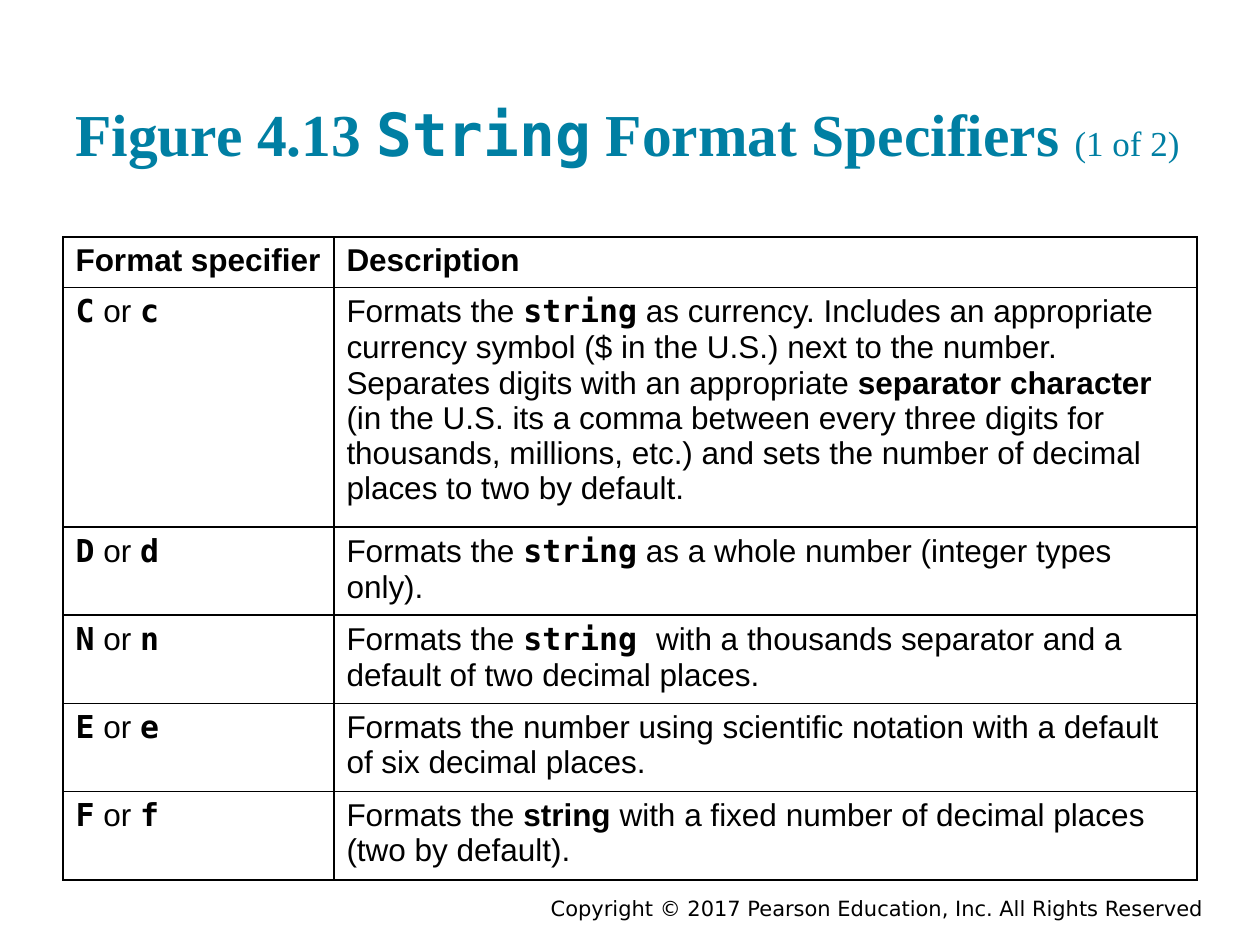
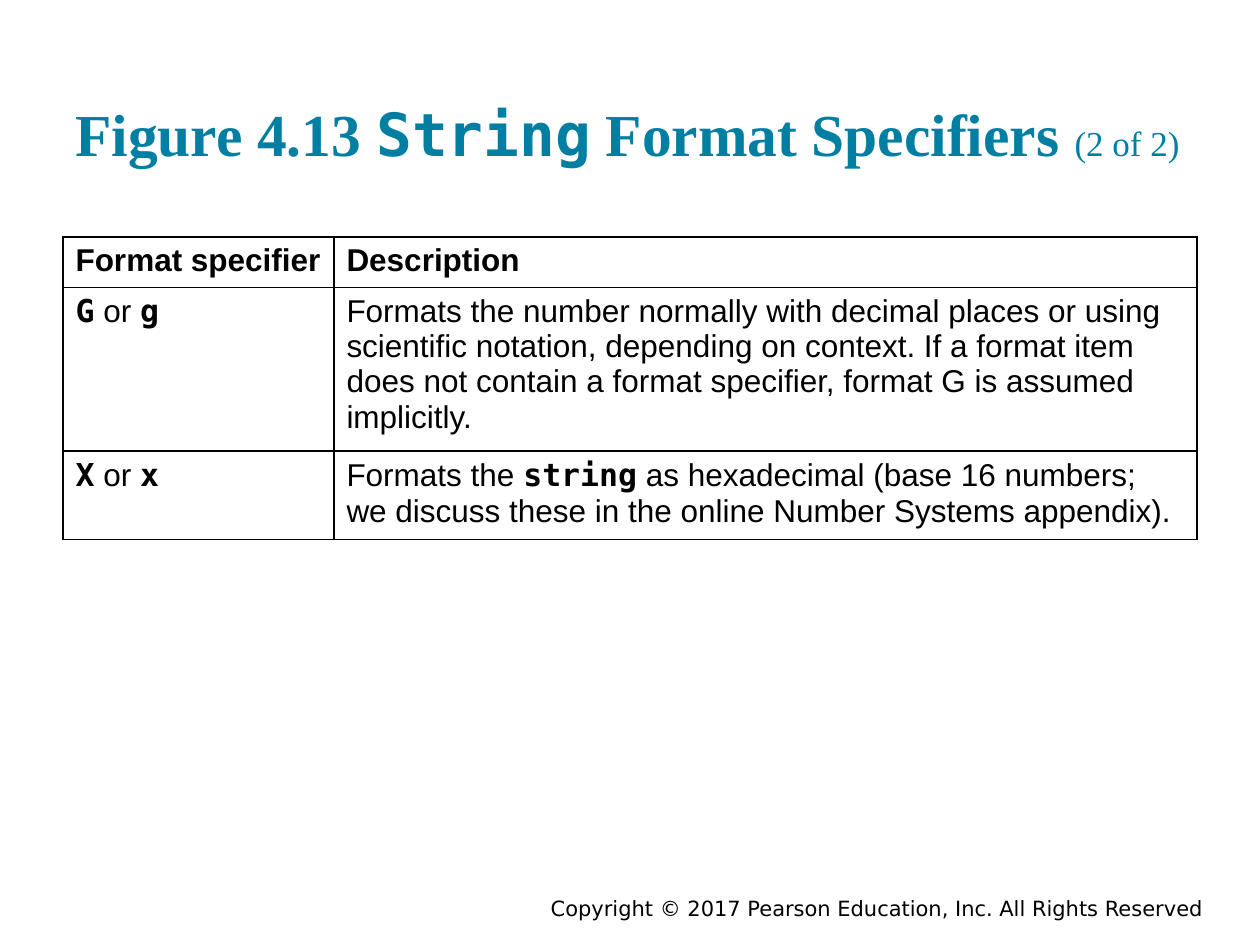
from dataclasses import dataclass

from lxml.etree import SubElement
from pptx import Presentation
from pptx.dml.color import RGBColor
from pptx.enum.text import MSO_ANCHOR, PP_ALIGN
from pptx.oxml.ns import qn
from pptx.util import Inches, Pt


@dataclass(frozen=True)
class Theme:
    teal: str = "007FA3"
    black: str = "000000"
    white: str = "FFFFFF"
    title_font: str = "Times New Roman"
    body_font: str = "Arial"
    code_font: str = "DejaVu Sans Mono"
    footer_font: str = "DejaVu Sans"
    title_size: int = 34
    part_size: int = 20
    body_size: int = 18
    footer_size: int = 12
    border_width: int = 1


THEME = Theme()
COPYRIGHT = "Copyright © 2017 Pearson Education, Inc. All Rights Reserved"
COLUMN_WIDTHS = (2.15, 6.85)
LINE_HEIGHT, CELL_PADDING = 0.28, 0.1


# Text runs
def add_run(p, text, font, size, color, bold=False):
    r = p.add_run()
    r.text = text
    r.font.name = font
    r.font.size = Pt(size)
    r.font.bold = bold
    r.font.color.rgb = RGBColor.from_string(color)


def plain(text):
    return text, THEME.body_font, False


def strong(text):
    return text, THEME.body_font, True


def code(text):
    return text, THEME.code_font, True


def add_text_box(s, left, top, width, height, anchor):
    tf = s.shapes.add_textbox(Inches(left), Inches(top), Inches(width), Inches(height)).text_frame
    tf.word_wrap = True
    tf.vertical_anchor = anchor
    return tf


# Title and footer shared by the slides
def add_title(s, part):
    tf = add_text_box(s, 0.5, 0.24, 9, 1.2, MSO_ANCHOR.BOTTOM)
    tf.margin_top = tf.margin_bottom = Inches(0.1)
    p = tf.paragraphs[0]
    for text, font in (
        ("Figure 4.13 ", THEME.title_font),
        ("String", THEME.code_font),
        (" Format Specifiers ", THEME.title_font),
    ):
        add_run(p, text, font, THEME.title_size, THEME.teal, bold=True)
    add_run(p, f"({part} of 2)", THEME.title_font, THEME.part_size, THEME.teal)


def add_footer(s):
    tf = add_text_box(s, 3, 7.08, 6.65, 0.25, MSO_ANCHOR.MIDDLE)
    p = tf.paragraphs[0]
    p.alignment = PP_ALIGN.RIGHT
    add_run(p, COPYRIGHT, THEME.footer_font, THEME.footer_size, THEME.black)


# Specifier table
def add_borders(cell):
    tc_pr = cell._tc.get_or_add_tcPr()
    for side in ("a:lnL", "a:lnR", "a:lnT", "a:lnB"):
        ln = SubElement(tc_pr, qn(side), w=str(Pt(THEME.border_width)))
        fill = SubElement(ln, qn("a:solidFill"))
        SubElement(fill, qn("a:srgbClr"), val=THEME.black)


def fill_cell(cell, pieces):
    add_borders(cell)
    cell.fill.solid()
    cell.fill.fore_color.rgb = RGBColor.from_string(THEME.white)
    p = cell.text_frame.paragraphs[0]
    for text, font, bold in pieces:
        add_run(p, text, font, THEME.body_size, THEME.black, bold)


def add_specifier_table(s, specifiers):
    """Each specifier is (letter, number of description lines, description)."""
    rows = [(1, [strong("Format specifier")], [strong("Description")])]
    for letter, lines, description in specifiers:
        names = [code(letter), plain(" or "), code(letter.lower())]
        rows.append((lines, names, description))
    heights = [lines * LINE_HEIGHT + CELL_PADDING for lines, _, _ in rows]
    table = s.shapes.add_table(
        len(rows), 2, Inches(0.5), Inches(1.88), Inches(sum(COLUMN_WIDTHS)), Inches(sum(heights))
    ).table
    table.horz_banding = False
    for column, width in zip(table.columns, COLUMN_WIDTHS):
        column.width = Inches(width)
    for row, height, (_, names, description) in zip(table.rows, heights, rows):
        row.height = Inches(height)
        fill_cell(row.cells[0], names)
        fill_cell(row.cells[1], description)


# Content of the two slides
PARTS = (
    (
        ("C", 6, [
            plain("Formats the "), code("string"),
            plain(" as currency. Includes an appropriate currency symbol ($ in the U.S.) "
                  "next to the number. Separates digits with an appropriate "),
            strong("separator character "),
            plain("(in the U.S. its a comma between every three digits for thousands, "
                  "millions, etc.) and sets the number of decimal places to two by default."),
        ]),
        ("D", 2, [
            plain("Formats the "), code("string"),
            plain(" as a whole number (integer types only)."),
        ]),
        ("N", 2, [
            plain("Formats the "), code("string "),
            plain("with a thousands separator and a default of two decimal places."),
        ]),
        ("E", 2, [
            plain("Formats the number using scientific notation with a default "
                  "of six decimal places."),
        ]),
        ("F", 2, [
            plain("Formats the "), strong("string"),
            plain(" with a fixed number of decimal places (two by default)."),
        ]),
    ),
    (
        ("G", 4, [
            plain("Formats the number normally with decimal places or using scientific "
                  "notation, depending on context. If a format item does not contain a "
                  "format specifier, format G is assumed implicitly."),
        ]),
        ("X", 2, [
            plain("Formats the "), code("string"),
            plain(" as hexadecimal (base 16 numbers; we discuss these in the online "
                  "Number Systems appendix)."),
        ]),
    ),
)


def main():
    prs = Presentation()
    prs.slide_width, prs.slide_height = Inches(10), Inches(7.5)
    for part, specifiers in enumerate(PARTS, start=1):
        s = prs.slides.add_slide(prs.slide_layouts[6])
        add_footer(s)
        add_title(s, part)
        add_specifier_table(s, specifiers)
    prs.save("out.pptx")


if __name__ == "__main__":
    main()
